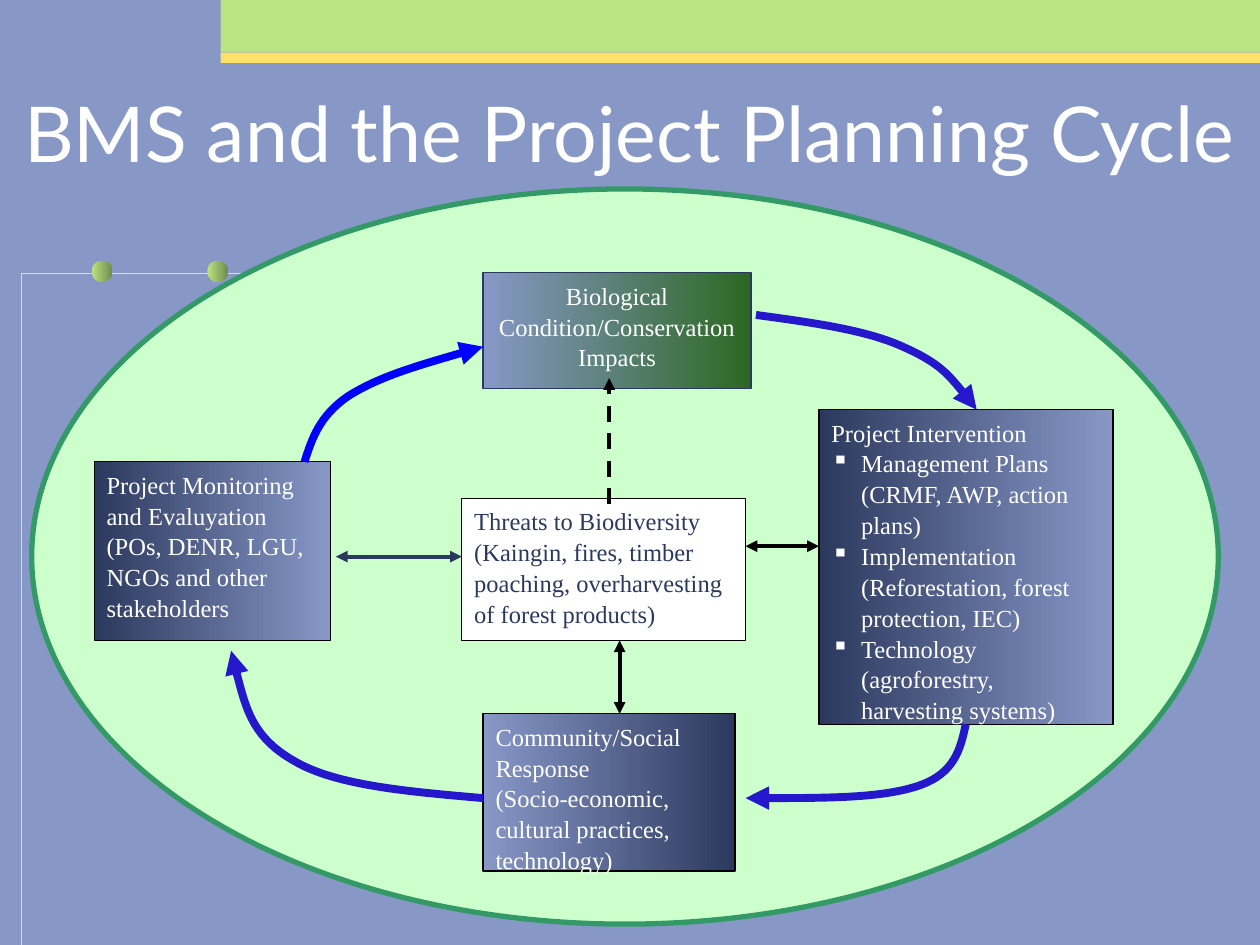
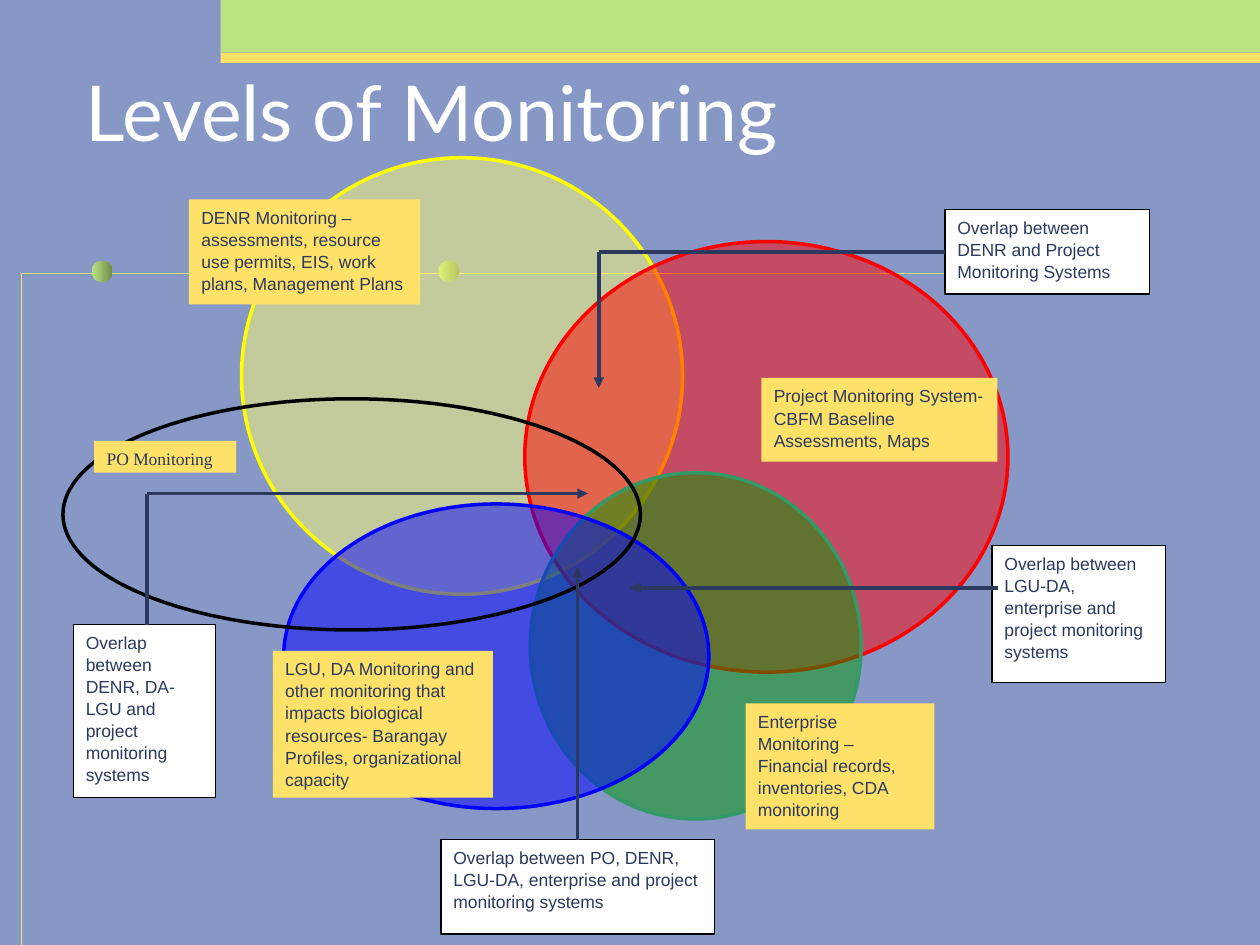
from lxml import etree
from pptx import Presentation
from pptx.dml.color import RGBColor
from pptx.enum.dml import MSO_LINE
from pptx.enum.shapes import MSO_CONNECTOR, MSO_SHAPE
from pptx.enum.text import MSO_ANCHOR, MSO_AUTO_SIZE, PP_ALIGN
from pptx.oxml.ns import qn
from pptx.util import Cm, Pt

RECT, OVAL = MSO_SHAPE.RECTANGLE, MSO_SHAPE.OVAL
STRAIGHT = MSO_CONNECTOR.STRAIGHT
DASH = MSO_LINE.DASH
LEFT, CENTER = PP_ALIGN.LEFT, PP_ALIGN.CENTER
TOP, MIDDLE = MSO_ANCHOR.TOP, MSO_ANCHOR.MIDDLE
NO_AUTOFIT = MSO_AUTO_SIZE.NONE

WHITE = RGBColor(0xFF, 0xFF, 0xFF)
BLACK = RGBColor(0x00, 0x00, 0x00)
PERIWINKLE = RGBColor(0x87, 0x98, 0xC7)
NAVY = RGBColor(0x2C, 0x39, 0x5E)
LIME = RGBColor(0xBA, 0xE4, 0x82)
OLIVE = RGBColor(0x70, 0x8A, 0x4E)
GOLD = RGBColor(0xFE, 0xE1, 0x68)
MINT = RGBColor(0xCC, 0xFF, 0xCC)
SEA_GREEN = RGBColor(0x33, 0x99, 0x66)
FOREST = RGBColor(0x2C, 0x68, 0x22)
LEAF = RGBColor(0x00, 0x99, 0x00)
INDIGO = RGBColor(0x25, 0x18, 0xCC)
BLUE = RGBColor(0x00, 0x00, 0xFF)
RED = RGBColor(0xFF, 0x00, 0x00)
YELLOW = RGBColor(0xFF, 0xFF, 0x00)
PALE_YELLOW = RGBColor(0xFF, 0xFF, 0x73)

TITLE_FONT, SANS, SERIF = "Lato", "Arial", "Times New Roman"


class Deck:
    """Holds the shared style and the slide being drawn."""

    def __init__(self):
        self.prs = Presentation()
        self.prs.slide_width, self.prs.slide_height = Cm(25.4), Cm(19.05)
        background = self.prs.slide_master.background.fill
        background.solid()
        background.fore_color.rgb = PERIWINKLE

    def new_slide(self, title, box, align):
        self.slide = self.prs.slides.add_slide(self.prs.slide_layouts[5])
        heading = self.slide.shapes.title
        heading.left, heading.top, heading.width, heading.height = map(Cm, box)
        self.set_text(heading, [title], TITLE_FONT, 44, WHITE, align, MIDDLE)
        self.decorate()

    def decorate(self):
        """Top bands, corner frame and dots found on every slide."""
        self.shape(RECT, (4.45, 0, 20.95, 1.06), LIME)
        self.shape(RECT, (4.45, 1.06, 20.95, 0.21), GOLD)
        self.polyline([(0.43, 19.05), (0.43, 5.51), (19.48, 5.51)], GOLD, 0.75)
        for i in range(4):
            self.shape(OVAL, (1.85 + 2.33 * i, 5.26, 0.42, 0.42), (LIME, OLIVE))

    def shape(self, kind, box, fill=None, line=None, width=0.75, opacity=None):
        """A pair of colours as fill is a gradient from left to right."""
        item = self.slide.shapes.add_shape(kind, *map(Cm, box))
        item.shadow.inherit = False
        if fill is None:
            item.fill.background()
        elif isinstance(fill, RGBColor):
            item.fill.solid()
            item.fill.fore_color.rgb = fill
        else:
            item.fill.gradient()
            item.fill.gradient_angle = 0
            for stop, color in zip(item.fill.gradient_stops, fill):
                stop.color.rgb = color
        if opacity:
            color = item._element.spPr.find(qn("a:solidFill"))[0]
            etree.SubElement(color, qn("a:alpha"), val=str(opacity * 1000))
        if line is None:
            item.line.fill.background()
        else:
            self.stroke(item, line, width)
        return item

    def box(self, box, texts, font, size, color, fill, line=None,
            align=LEFT, bullets_from=None):
        item = self.shape(RECT, box, fill, line)
        self.set_text(item, texts, font, size, color, align, TOP, 1.05)
        if bullets_from is not None:
            for paragraph in item.text_frame.paragraphs[bullets_from:]:
                self.bullet(paragraph)

    def set_text(self, item, texts, font, size, color, align, anchor, spacing=1.0):
        frame = item.text_frame
        frame.text = "\n".join(texts)
        frame.word_wrap = True
        frame.auto_size = NO_AUTOFIT
        frame.vertical_anchor = anchor
        frame.margin_left = frame.margin_right = Cm(0.25)
        frame.margin_top = frame.margin_bottom = Cm(0.13)
        for paragraph in frame.paragraphs:
            paragraph.alignment = align
            paragraph.line_spacing = spacing
            for run in paragraph.runs:
                run.font.name = font
                run.font.size = Pt(size)
                run.font.color.rgb = color

    def bullet(self, paragraph):
        props = paragraph._p.get_or_add_pPr()
        props.set("marL", str(Cm(0.6)))
        props.set("indent", str(-Cm(0.6)))
        etree.SubElement(props, qn("a:buChar"), char="▪")

    def stroke(self, item, color, width, dash=None, heads=()):
        item.line.color.rgb = color
        item.line.width = Pt(width)
        if dash:
            item.line.dash_style = dash
        for end in heads:
            etree.SubElement(item.line._get_or_add_ln(), qn(f"a:{end}"), type="triangle")

    def connector(self, start, end, color, width, heads=("tailEnd",), dash=None):
        item = self.slide.shapes.add_connector(STRAIGHT, *map(Cm, start + end))
        self.stroke(item, color, width, dash, heads)
        etree.SubElement(item._element.spPr, qn("a:effectLst"))

    def polyline(self, points, color, width, heads=()):
        start, *rest = [(Cm(x), Cm(y)) for x, y in points]
        builder = self.slide.shapes.build_freeform(*start)
        builder.add_line_segments(rest, close=False)
        item = builder.convert_to_shape()
        item.shadow.inherit = False
        item.fill.background()
        self.stroke(item, color, width, heads=heads)
        return item

    def curved_arrow(self, points, color):
        """Turns every three segments into one Bézier curve."""
        item = self.polyline(points, color, 4.5, ("tailEnd",))
        outline = item._element.xpath(".//a:path")[0]
        segments = outline.findall(qn("a:lnTo"))
        for i in range(0, len(segments), 3):
            curve = etree.SubElement(outline, qn("a:cubicBezTo"))
            for segment in segments[i:i + 3]:
                curve.append(segment[0])
                outline.remove(segment)


def planning_cycle(deck):
    deck.new_slide("BMS and the Project Planning Cycle", (0, 1.06, 25.4, 3.18), CENTER)
    deck.shape(OVAL, (0.64, 3.81, 23.92, 14.82), MINT, SEA_GREEN, 3)

    # Stages of the cycle
    deck.box((1.9, 9.31, 4.76, 3.6),
             ["Project Monitoring and Evaluyation (POs, DENR, LGU, NGOs and other stakeholders"],
             SERIF, 14, WHITE, (NAVY, PERIWINKLE), BLACK)
    deck.box((9.31, 10.05, 5.72, 2.86),
             ["Threats to Biodiversity (Kaingin, fires, timber poaching, "
              "overharvesting of forest products)"],
             SERIF, 14, NAVY, WHITE, BLACK)
    deck.box((16.51, 8.26, 5.93, 6.35),
             ["Project Intervention",
              "Management Plans (CRMF, AWP, action plans)",
              "Implementation (Reforestation, forest protection, IEC)",
              "Technology (agroforestry, harvesting systems)"],
             SERIF, 14, WHITE, (NAVY, PERIWINKLE), BLACK, bullets_from=1)
    deck.box((9.74, 5.5, 5.4, 2.33), ["Biological Condition/Conservation Impacts"],
             SERIF, 14, WHITE, (PERIWINKLE, FOREST), NAVY, CENTER)
    deck.box((9.74, 14.39, 5.08, 3.17),
             ["Community/Social Response", "(Socio-economic, cultural practices, technology)"],
             SERIF, 14, WHITE, (PERIWINKLE, NAVY), BLACK)

    # Links to the threats
    both = ("headEnd", "tailEnd")
    deck.connector((12.49, 14.39), (12.49, 12.91), BLACK, 2.25, both)
    deck.connector((15.03, 11.01), (16.51, 11.01), BLACK, 2.25, both)
    deck.connector((6.77, 11.22), (9.31, 11.22), NAVY, 2.25, both)
    deck.connector((12.28, 10.16), (12.28, 7.62), BLACK, 2.25, dash=DASH)

    # Arrows around the cycle
    to_biological = [(6.14, 9.31), (6.29, 8.84), (6.44, 8.38), (7.03, 7.98),
                     (7.65, 7.59), (8.69, 7.29), (9.74, 6.99)]
    to_intervention = [(15.24, 6.35), (16.35, 6.5), (17.46, 6.65), (18.2, 6.99),
                       (18.95, 7.32), (19.32, 7.77), (19.69, 8.26)]
    to_community = [(19.47, 14.6), (19.36, 15.1), (19.25, 15.59), (18.52, 15.84),
                    (17.78, 16.09), (16.41, 16.09), (15.03, 16.09)]
    to_monitoring = [(9.74, 16.09), (8.26, 15.96), (6.77, 15.84), (5.93, 15.34),
                     (5.08, 14.86), (4.87, 14), (4.66, 13.12)]
    deck.curved_arrow(to_biological, BLUE)
    for route in (to_intervention, to_community, to_monitoring):
        deck.curved_arrow(route, INDIGO)


def monitoring_levels(deck):
    deck.new_slide("Levels of Monitoring", (1.48, 0.64, 21.59, 3.18), LEFT)

    # Overlapping monitoring systems
    systems = [
        ((4.87, 3.18, 8.89, 8.8), PALE_YELLOW, YELLOW),
        ((10.58, 4.87, 9.74, 8.68), RED, RED),
        ((10.69, 9.53, 6.67, 6.98), LEAF, SEA_GREEN),
        ((5.72, 10.16, 8.57, 6.14), BLUE, BLUE),
    ]
    for area, fill, line in systems:
        deck.shape(OVAL, area, fill, line, 2, opacity=50)
    deck.shape(OVAL, (1.27, 8.04, 11.64, 4.66), None, BLACK, 2)

    # Names of the systems
    labels = [
        ((3.81, 4.02, 4.66, 2.12), SANS,
         ["DENR Monitoring –assessments, resource use permits, EIS, work plans, "
          "Management Plans"]),
        ((15.35, 7.62, 4.76, 1.69), SANS,
         ["Project Monitoring System-", "CBFM Baseline Assessments, Maps"]),
        ((15.03, 14.18, 3.81, 2.54), SANS,
         ["Enterprise Monitoring –Financial records, inventories, CDA monitoring"]),
        ((5.5, 13.12, 4.44, 2.96), SANS,
         ["LGU, DA Monitoring and other monitoring that impacts biological resources- "
          "Barangay Profiles, organizational capacity"]),
        ((1.9, 8.89, 2.86, 0.64), SERIF, ["PO Monitoring"]),
    ]
    for area, font, texts in labels:
        deck.box(area, texts, font, 10, NAVY, GOLD)

    # Notes on the overlaps
    overlaps = [
        ((1.48, 12.59, 2.86, 3.49), "DENR, DA-LGU and project monitoring systems"),
        ((8.89, 16.93, 5.51, 1.9), "PO, DENR, LGU-DA, enterprise and project monitoring systems"),
        ((19.05, 4.23, 4.13, 1.7), "DENR and Project Monitoring Systems"),
        ((20, 11, 3.49, 2.76), "LGU-DA, enterprise and project monitoring systems"),
    ]
    for area, members in overlaps:
        deck.box(area, [f"Overlap between {members}"], SANS, 10, NAVY, WHITE, BLACK)

    # Pointers from the notes, the bent ones in two parts
    for start, corner in [((2.96, 12.59), (2.96, 9.95)), ((19.05, 5.08), (12.07, 5.08))]:
        deck.connector(start, corner, NAVY, 2, heads=())
    pointers = [
        ((2.96, 9.95), (11.85, 9.95)),
        ((12.07, 5.08), (12.07, 7.82)),
        ((20.11, 11.85), (12.7, 11.85)),
        ((11.64, 16.93), (11.64, 11.43)),
    ]
    for start, target in pointers:
        deck.connector(start, target, NAVY, 2)


def main():
    deck = Deck()
    planning_cycle(deck)
    monitoring_levels(deck)
    deck.prs.save("out.pptx")


if __name__ == "__main__":
    main()
